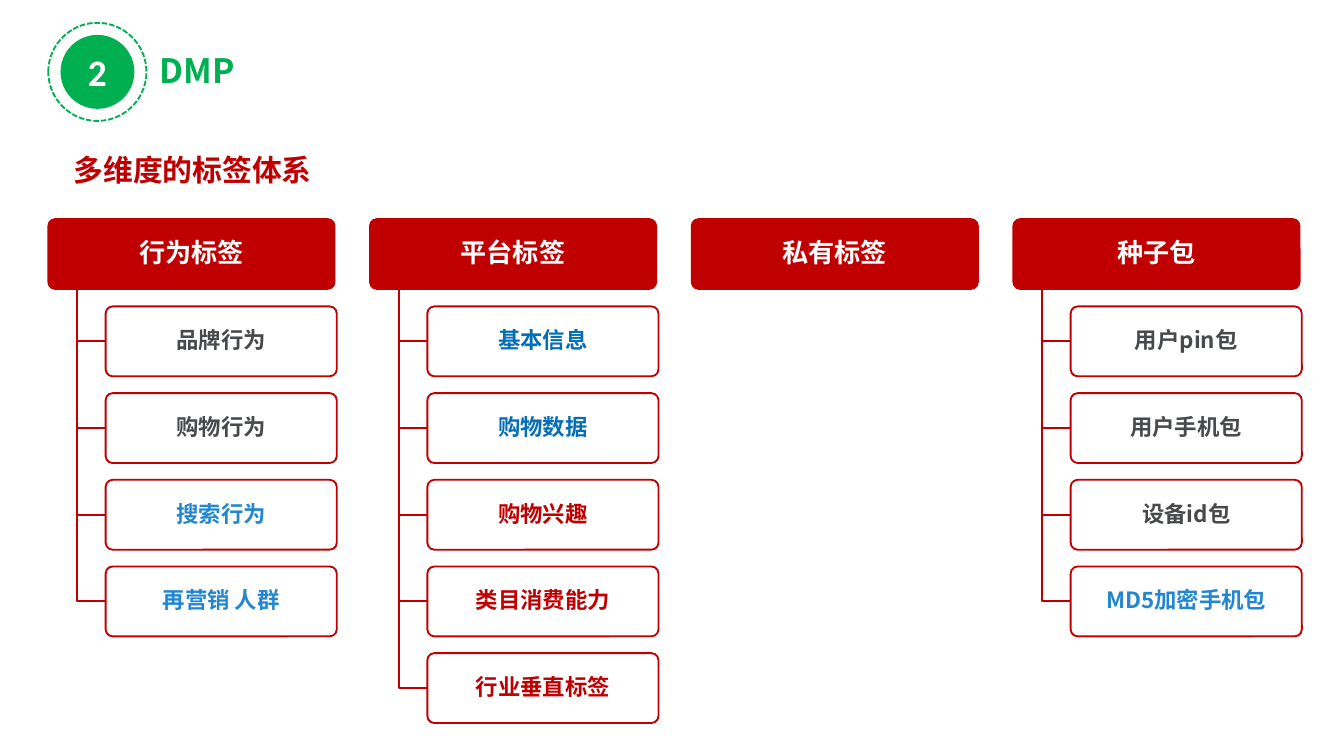
from lxml import etree
from pptx import Presentation
from pptx.dml.color import RGBColor
from pptx.enum import dml, shapes, text
from pptx.oxml.ns import qn
from pptx.util import Inches, Pt

RED, GREEN, WHITE = "C00000", "00B050", "FFFFFF"
GREY, SKY, BLUE = "47494B", "2287D0", "046FB6"
CJK = "Noto Sans CJK SC"

TAG_GROUPS = [
    ("行为标签", [("品牌行为", GREY), ("购物行为", GREY),
              ("搜索行为", SKY), ("再营销 人群", SKY)]),
    ("平台标签", [("基本信息", BLUE), ("购物数据", BLUE), ("购物兴趣", RED),
              ("类目消费能力", RED), ("行业垂直标签", RED)]),
    ("私有标签", []),
    ("种子包", [("用户pin包", GREY), ("用户手机包", GREY),
             ("设备id包", GREY), ("MD5加密手机包", SKY)]),
]

LEFT, TOP = 0.36, 1.63
HEADER_W, TAG_W, BOX_H = 2.13, 1.72, 0.52
COLUMN_STEP = 7.18 / 3
FIRST_TAG_TOP, ROW_STEP = 2.28, 2.58 / 4
TRUNK_INSET = HEADER_W / 10
TAG_INSET = 2 * TRUNK_INSET


def rgb(color):
    return RGBColor.from_string(color)


def write(frame, words, size, color, font=CJK, align=text.PP_ALIGN.CENTER):
    paragraph = frame.paragraphs[0]
    paragraph.alignment = align
    run = paragraph.add_run()
    run.text = words
    run.font.size, run.font.bold, run.font.name = Pt(size), True, font
    run.font.color.rgb = rgb(color)
    etree.SubElement(run._r.get_or_add_rPr(), qn("a:ea"), typeface=font)
    return paragraph


def style(shape, fill=None, line=None, alpha=None):
    shape.shadow.inherit = False
    if fill:
        shape.fill.solid()
        shape.fill.fore_color.rgb = rgb(fill)
        if alpha:
            tint = shape._element.spPr.find(".//" + qn("a:srgbClr"))
            etree.SubElement(tint, qn("a:alpha"), val=str(alpha * 1000))
    else:
        shape.fill.background()
    if line:
        shape.line.color.rgb = rgb(line)
        shape.line.width = Pt(1)
    else:
        shape.line.fill.background()


def add_circle(left, top, size, **look):
    circle = slide.shapes.add_shape(
        shapes.MSO_SHAPE.OVAL, Inches(left), Inches(top), Inches(size), Inches(size))
    style(circle, **look)
    return circle


def add_box(left, top, width, words, size, color, fill, alpha=None):
    box = slide.shapes.add_shape(
        shapes.MSO_SHAPE.ROUNDED_RECTANGLE,
        Inches(left), Inches(top), Inches(width), Inches(BOX_H))
    box.adjustments[0] = 0.1
    style(box, fill, RED, alpha)
    frame = box.text_frame
    frame.word_wrap = True
    frame.vertical_anchor = text.MSO_ANCHOR.MIDDLE
    frame.margin_left = frame.margin_right = Inches(0.03)
    frame.margin_top = frame.margin_bottom = Inches(0.02)
    write(frame, words, size, color).line_spacing = 0.9


def add_branch(trunk_x, top, tag_x, tag_y):
    outline = slide.shapes.build_freeform(Inches(trunk_x), Inches(top))
    outline.add_line_segments(
        [(Inches(trunk_x), Inches(tag_y)), (Inches(tag_x), Inches(tag_y))], close=False)
    style(outline.convert_to_shape(), line=RED)


deck = Presentation()
deck.slide_width = Inches(10)
deck.slide_height = deck.slide_width * 9 // 16
slide = deck.slides.add_slide(deck.slide_layouts[5])

ring = add_circle(0.36, 0.17, 0.73, line=GREEN)
ring.line.dash_style = dml.MSO_LINE.SQUARE_DOT
badge = add_circle(0.45, 0.26, 0.55, fill=GREEN)
badge.text_frame.vertical_anchor = text.MSO_ANCHOR.MIDDLE
badge.text_frame.word_wrap = False
write(badge.text_frame, "2", 20, WHITE, "Calibri")

title = slide.shapes.title
title.left, title.top, title.width, title.height = map(Inches, (1.09, 0.32, 0.83, 0.4))
title.text_frame.word_wrap = False
title.text_frame.vertical_anchor = text.MSO_ANCHOR.TOP
write(title.text_frame, "DMP", 18, GREEN, align=text.PP_ALIGN.LEFT)

for column, (group, tags) in enumerate(TAG_GROUPS):
    left = LEFT + column * COLUMN_STEP
    add_box(left, TOP, HEADER_W, group, 14, WHITE, RED)
    for row, (tag, color) in enumerate(tags):
        top = FIRST_TAG_TOP + row * ROW_STEP
        add_branch(left + TRUNK_INSET, TOP + BOX_H, left + TAG_INSET, top + BOX_H / 2)
        add_box(left + TAG_INSET, top, TAG_W, tag, 12, color, WHITE, alpha=90)

subtitle = slide.shapes.add_textbox(Inches(0.45), Inches(1.08), Inches(9.23), Inches(0.37))
subtitle.text_frame.word_wrap = True
write(subtitle.text_frame, "多维度的标签体系", 16, RED, align=text.PP_ALIGN.LEFT)

deck.save("out.pptx")
